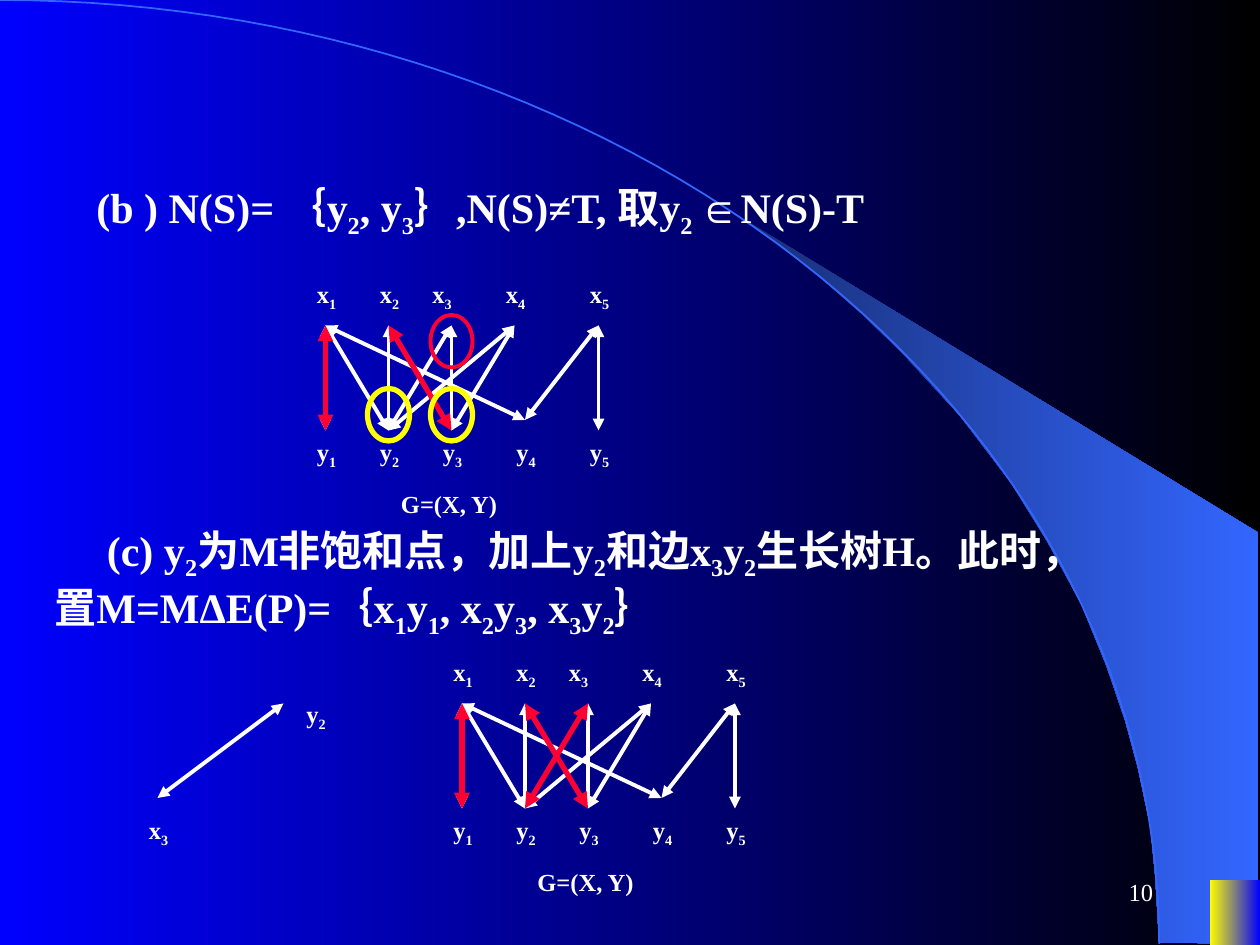
from dataclasses import dataclass
from math import cos, pi, sin

from lxml import etree
from pptx import Presentation
from pptx.dml.color import RGBColor
from pptx.enum.shapes import MSO_CONNECTOR, MSO_SHAPE
from pptx.enum.text import MSO_ANCHOR, MSO_AUTO_SIZE, PP_ALIGN
from pptx.oxml.ns import qn
from pptx.util import Pt

STRAIGHT = MSO_CONNECTOR.STRAIGHT
RECTANGLE, OVAL = MSO_SHAPE.RECTANGLE, MSO_SHAPE.OVAL
TOP, MIDDLE = MSO_ANCHOR.TOP, MSO_ANCHOR.MIDDLE
LEFT, RIGHT = PP_ALIGN.LEFT, PP_ALIGN.RIGHT
GROW = MSO_AUTO_SIZE.SHAPE_TO_FIT_TEXT


@dataclass(frozen=True)
class Theme:
    font: str = "Times New Roman"
    white: str = "FFFFFF"
    black: str = "000000"
    blue: str = "0000FF"
    navy: str = "182F76"
    sky: str = "3366FF"
    red: str = "FF0033"
    yellow: str = "FFFF00"
    body_size: float = 24
    label_size: float = 14
    edge: float = 2.25
    heavy: float = 3


@dataclass(frozen=True)
class Ring:
    left: float
    top: float
    color: str
    weight: float


@dataclass(frozen=True)
class Graph:
    left: float
    top: float
    plain: tuple[tuple[int, int], ...]
    matching: tuple[tuple[int, int], ...]
    rings: tuple[Ring, ...] = ()


THEME = Theme()

# Vertex and label places, relative to the graph's x1 label
X_VERTICES = ((12, 30), (48, 30), (84, 30), (120, 30), (168, 30))
Y_VERTICES = ((12, 90), (48, 90), (84, 90), (126, 84), (168, 90))
X_LABELS = (0, 36, 66, 108, 156)
Y_LABELS = (0, 36, 72, 114, 156)

# Edges are (x index, y index)
COMMON_EDGES = ((1, 1), (2, 2), (3, 3), (5, 5), (1, 2), (5, 4), (1, 4), (4, 3), (4, 2))
GRAPHS = (
    Graph(174, 156, COMMON_EDGES + ((3, 2),), ((2, 3), (1, 1)),
          (Ring(72, 24, THEME.red, THEME.edge),
           Ring(36, 66, THEME.yellow, THEME.heavy),
           Ring(72, 66, THEME.yellow, THEME.heavy))),
    Graph(252, 372, COMMON_EDGES, ((3, 2), (2, 3), (1, 1))),
)

SWOOSH = ((662.4, 538.6), (719.3, 539.3), (719.3, 304.6), (424.1, 124.6), (449.3, 143.3),
          (470.2, 159.8), (493.2, 180), (515.5, 201.6), (548.6, 237.6), (578.2, 276.5),
          (599, 310.3), (617.8, 344.9), (632.2, 380.2), (643, 411.8), (650.2, 438.5),
          (657.4, 472.3), (660.2, 501.1))
ARC_WIDTH, ARC_HEIGHT, ARC_STEPS = 662.4, 539.3, 60


def set_gradient(fill, start: str, end: str) -> None:
    fill.gradient()
    fill.gradient_angle = 0
    for stop, color in zip(fill.gradient_stops, (start, end)):
        stop.color.rgb = RGBColor.from_string(color)


def set_line(line, color: str, weight: float) -> None:
    line.color.rgb = RGBColor.from_string(color)
    line.width = Pt(weight)


def add_outline(slide, points, closed: bool):
    (start_x, start_y), *others = [(Pt(x), Pt(y)) for x, y in points]
    builder = slide.shapes.build_freeform(start_x, start_y)
    builder.add_line_segments(others, close=closed)
    shape = builder.convert_to_shape()
    shape.shadow.inherit = False
    return shape


def add_text(slide, left: float, top: float, width: float, height: float, markup: str,
             size: float, bold: bool = True, anchor=TOP, align=LEFT, indent: float = 0) -> None:
    """Write text in which every second part between bars is a subscript."""
    box = slide.shapes.add_textbox(Pt(left), Pt(top), Pt(width), Pt(height))
    frame = box.text_frame
    frame.word_wrap = True
    frame.auto_size = GROW
    frame.vertical_anchor = anchor
    paragraph = frame.paragraphs[0]
    paragraph.alignment = align
    if indent:
        paragraph._p.get_or_add_pPr().set("indent", str(Pt(indent)))
    for index, part in enumerate(markup.split("|")):
        if not part:
            continue
        run = paragraph.add_run()
        run.text = part
        run.font.name = THEME.font
        run.font.size = Pt(size)
        run.font.bold = bold
        run.font.color.rgb = RGBColor.from_string(THEME.white)
        if index % 2:
            run.font._element.set("baseline", "-25000")


def add_label(slide, left: float, top: float, letter: str, number: int) -> None:
    add_text(slide, left, top, 31, 26.6, f"{letter}|{number}|", THEME.label_size)


def add_edge(slide, start, end, color: str, weight: float) -> None:
    connector = slide.shapes.add_connector(STRAIGHT, *(Pt(v) for v in (*start, *end)))
    set_line(connector.line, color, weight)
    line = connector.line._get_or_add_ln()
    for tag in ("a:headEnd", "a:tailEnd"):
        etree.SubElement(line, qn(tag), type="triangle")
    etree.SubElement(connector._element.spPr, qn("a:effectLst"))


def add_graph(slide, graph: Graph) -> None:
    def place(point):
        return graph.left + point[0], graph.top + point[1]

    for edges, color, weight in ((graph.plain, THEME.white, THEME.edge),
                                 (graph.matching, THEME.red, THEME.heavy)):
        for x, y in edges:
            add_edge(slide, place(X_VERTICES[x - 1]), place(Y_VERTICES[y - 1]), color, weight)
    for letter, offsets, drop in (("x", X_LABELS, 0), ("y", Y_LABELS, 90)):
        for number, offset in enumerate(offsets, 1):
            add_label(slide, *place((offset, drop)), letter, number)
    add_text(slide, *place((48, 120)), 79, 24.2, "G=(X, Y)", THEME.label_size)
    for ring in graph.rings:
        left, top = place((ring.left, ring.top))
        shape = slide.shapes.add_shape(OVAL, Pt(left), Pt(top), Pt(24), Pt(30))
        shape.shadow.inherit = False
        shape.fill.background()
        set_line(shape.line, ring.color, ring.weight)


def add_backdrop(slide) -> None:
    set_gradient(slide.background.fill, THEME.blue, THEME.black)
    swoosh = add_outline(slide, SWOOSH, True)
    set_gradient(swoosh.fill, THEME.navy, THEME.sky)
    swoosh.line.fill.background()

    angles = [step * pi / 2 / ARC_STEPS for step in range(ARC_STEPS + 1)]
    arc = add_outline(slide, [(ARC_WIDTH * sin(a), ARC_HEIGHT * (1 - cos(a))) for a in angles], False)
    arc.fill.background()
    set_line(arc.line, THEME.sky, 1)

    corner = slide.shapes.add_shape(RECTANGLE, Pt(691.2), Pt(502.6), Pt(28.8), Pt(37.4))
    corner.shadow.inherit = False
    set_gradient(corner.fill, THEME.yellow, THEME.blue)
    corner.line.fill.background()


def main() -> None:
    presentation = Presentation()
    presentation.slide_width, presentation.slide_height = Pt(720), Pt(540)
    slide = presentation.slides.add_slide(presentation.slide_layouts[6])
    add_backdrop(slide)

    # Page number and the two steps
    add_text(slide, 516.2, 491.8, 149.8, 36, "10", THEME.label_size, False, MIDDLE, RIGHT)
    add_text(slide, 18, 100, 678, 40.3, "(b ) N(S)= ｛y|2|, y|3|｝,N(S)≠T, 取y|2 |∈N(S)-T",
             THEME.body_size, anchor=MIDDLE, indent=30)
    add_text(slide, 24, 296, 594, 72.7,
             "(c) y|2|为M非饱和点，加上y|2|和边x|3|y|2|生长树H。"
             "此时，置M=MΔE(P)=｛x|1|y|1|, x|2|y|3|, x|3|y|2|｝",
             THEME.body_size, anchor=MIDDLE, indent=30)

    # Graphs, and the tree H
    for graph in GRAPHS:
        add_graph(slide, graph)
    add_edge(slide, (90, 456), (162, 402), THEME.white, THEME.edge)
    add_label(slide, 78, 462, "x", 3)
    add_label(slide, 168, 396, "y", 2)

    presentation.save("out.pptx")


if __name__ == "__main__":
    main()
